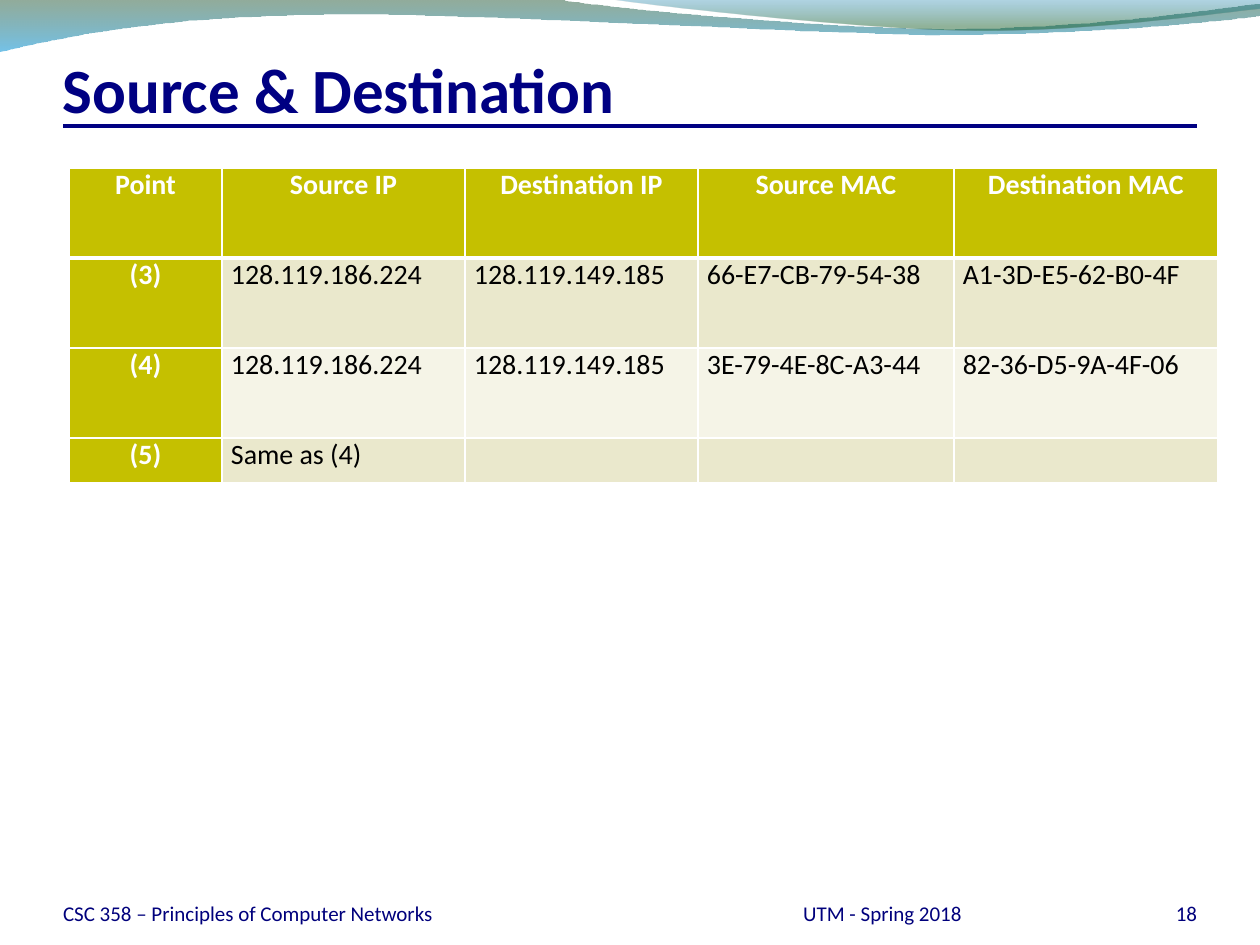
from lxml.etree import SubElement
from pptx import Presentation
from pptx.dml.color import RGBColor
from pptx.enum.text import MSO_ANCHOR as ANCHOR, PP_ALIGN as ALIGN
from pptx.oxml.ns import qn
from pptx.util import Emu, Pt

SCALE = 914400 / 126
FONT = "Calibri"
COLORS = {
    "title": "000082", "footer": "00007C", "head": "C5C000",
    "odd": "EAE8CC", "even": "F5F4E7", "white": "FFFFFF", "black": "000000",
    "forest": "0F461E", "sky": "0090D6", "ocean": "0076AF", "green": "0D5821",
}
COL_WIDTHS = [153, 243, 233, 256, 264]
ROW_HEIGHTS = [90, 90, 90, 45]
ROWS = [
    ["Point", "Source IP", "Destination IP", "Source MAC", "Destination MAC"],
    ["(3)", "128.119.186.224", "128.119.149.185", "66-E7-CB-79-54-38", "A1-3D-E5-62-B0-4F"],
    ["(4)", "128.119.186.224", "128.119.149.185", "3E-79-4E-8C-A3-44", "82-36-D5-9A-4F-06"],
    ["(5)", "Same as (4)", "", "", ""],
]
# Each wave segment holds one point (line) or three (Bézier curve)
LOWER_WAVE = [
    [(0, -1)], [(554, -1)],
    [(600, 8), (837, 29), (955, 29)], [(1075, 29), (1207, 11), (1260, 4)],
    [(1261, 16)],
    [(1239, 20), (1096, 35), (940, 35)], [(784, 34), (481, 13), (324, 15)],
    [(162, 16), (58, 38), (-1, 52)],
]
UPPER_WAVE = [
    [(604, -1)],
    [(641, 5), (859, 29), (969, 30)], [(1079, 32), (1211, 14), (1260, 9)],
    [(1260, -1)],
]


def px(n):
    return Emu(round(n * SCALE))


def rgb(name):
    return RGBColor.from_string(COLORS[name])


def style(p, size, color, bold=False, align=ALIGN.LEFT):
    p.alignment = align
    p.font.name, p.font.size, p.font.bold = FONT, Pt(size), bold
    p.font.color.rgb = rgb(color)


def bend(sp, segments):
    """Join each run of three lines into one Bézier curve."""
    lines = iter(list(sp.element.iter(qn("a:lnTo"))))
    for seg in segments[1:]:
        parts = [next(lines) for _ in seg]
        if len(parts) == 3:
            outline = parts[0].getparent()
            curve = SubElement(outline, qn("a:cubicBezTo"))
            outline.replace(parts[0], curve)
            for part in parts:
                curve.append(part[0])
            for part in parts[1:]:
                outline.remove(part)


def add_wave(s, segments, stops):
    start, *rest = [(px(x), px(y)) for seg in segments for x, y in seg]
    builder = s.shapes.build_freeform(*start)
    builder.add_line_segments(rest, close=True)
    sp = builder.convert_to_shape()
    bend(sp, segments)
    sp.shadow.inherit = False
    sp.line.fill.background()
    sp.fill.gradient()
    sp.fill.gradient_angle = 270
    for stop, (position, color, _) in zip(sp.fill.gradient_stops, stops):
        stop.position = position
        stop.color.rgb = rgb(color)
    for clr, (_, _, opacity) in zip(sp.element.spPr.iter(qn("a:srgbClr")), stops):
        SubElement(clr, qn("a:alpha"), val=str(opacity * 1000))


def add_rule(s, x1, x2, y):
    line = s.shapes.add_connector(1, px(x1), px(y), px(x2), px(y))
    line.line.color.rgb = rgb("title")
    line.line.width = Pt(2.25)
    SubElement(line.element.spPr, qn("a:effectLst"))


def add_text(s, text, box, size, color, bold=False, align=ALIGN.LEFT):
    tf = s.shapes.add_textbox(*map(px, box)).text_frame
    tf.word_wrap = True
    tf.vertical_anchor = ANCHOR.BOTTOM
    tf.margin_left = tf.margin_top = tf.margin_right = tf.margin_bottom = 0
    p = tf.paragraphs[0]
    p.text = text
    style(p, size, color, bold, align)


def set_borders(cell, bottom=1, top=1):
    tcPr = cell._tc.get_or_add_tcPr()
    widths = {"a:lnL": 1, "a:lnR": 1, "a:lnT": top, "a:lnB": bottom}
    for i, (tag, width) in enumerate(widths.items()):
        ln = SubElement(tcPr, qn(tag), w=str(Pt(width)))
        fill = SubElement(ln, qn("a:solidFill"))
        SubElement(fill, qn("a:srgbClr"), val=COLORS["white"])
        tcPr.insert(i, ln)


def fill_cell(cell, text, row, col):
    is_head = row == 0 or col == 0
    cell.fill.solid()
    cell.fill.fore_color.rgb = rgb("head" if is_head else "odd" if row % 2 else "even")
    cell.margin_left = cell.margin_right = px(9)
    cell.margin_top = cell.margin_bottom = 0
    set_borders(cell, bottom=3 if row == 0 else 1, top=3 if row == 1 else 1)
    if text:
        p = cell.text_frame.paragraphs[0]
        p.text = text
        p.space_after = Pt(6)
        style(p, 16, "white" if is_head else "black", is_head,
              ALIGN.CENTER if is_head else ALIGN.LEFT)


def add_address_table(s, x, y):
    table = s.shapes.add_table(len(ROWS), len(COL_WIDTHS), px(x), px(y),
                               px(sum(COL_WIDTHS)), px(sum(ROW_HEIGHTS))).table
    table.first_col = True
    for column, width in zip(table.columns, COL_WIDTHS):
        column.width = px(width)
    for r, (height, texts) in enumerate(zip(ROW_HEIGHTS, ROWS)):
        table.rows[r].height = px(height)
        for c, text in enumerate(texts):
            fill_cell(table.cell(r, c), text, r, c)


def main():
    prs = Presentation()
    prs.slide_width, prs.slide_height = px(1260), px(945)
    s = prs.slides.add_slide(prs.slide_layouts[6])

    # Header waves
    add_wave(s, LOWER_WAVE, [(0, "forest", 45), (1, "sky", 55)])
    add_wave(s, UPPER_WAVE, [(0, "ocean", 30), (0.8, "green", 45)])

    # Title and rule
    add_rule(s, 63, 1197, 126)
    add_text(s, "Source & Destination", (63, 42, 1134, 84), 36, "title", bold=True)

    # Footer
    add_text(s, "CSC 358 – Principles of Computer Networks", (63, 876, 599, 50), 12, "footer")
    add_text(s, "18", (1092, 876, 105, 50), 12, "footer", align=ALIGN.RIGHT)
    add_text(s, "UTM - Spring 2018", (683, 876, 399, 50), 12, "footer", align=ALIGN.CENTER)

    # Addresses at each point
    add_address_table(s, 69, 168)
    prs.save("out.pptx")


if __name__ == "__main__":
    main()
